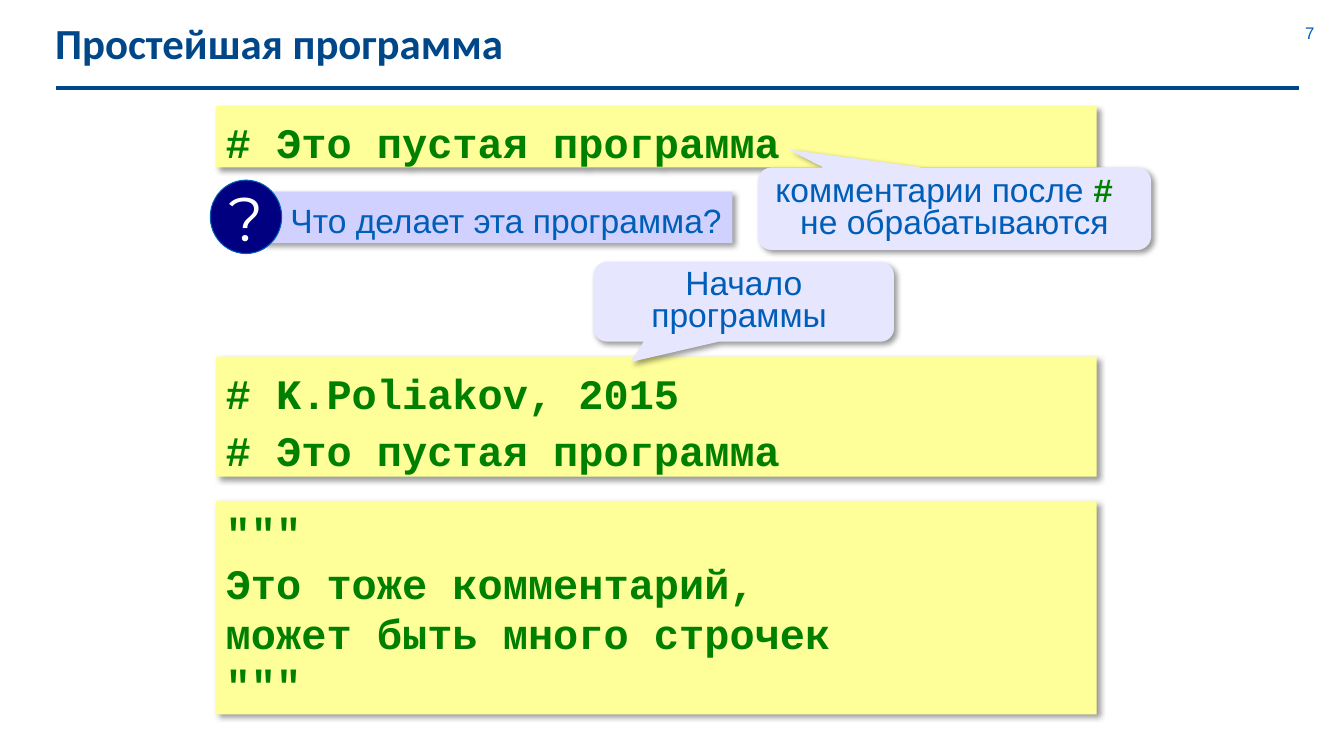
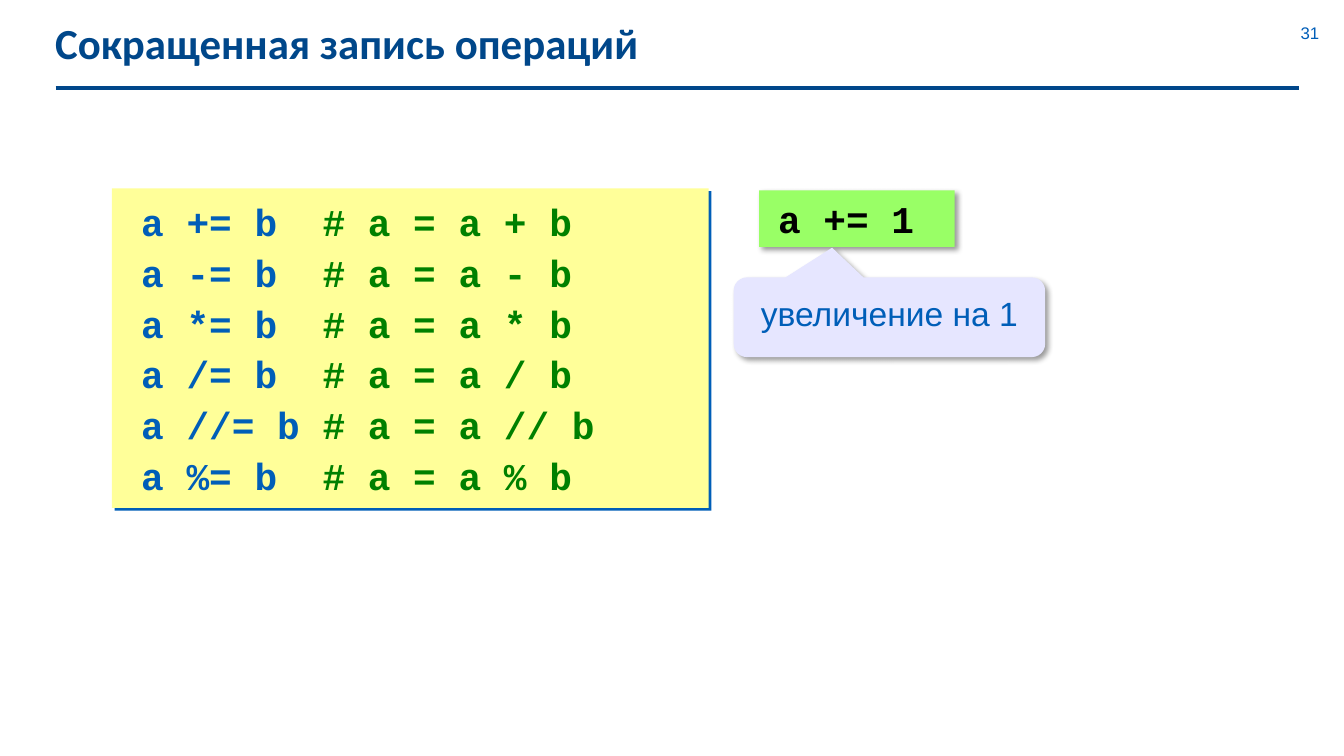
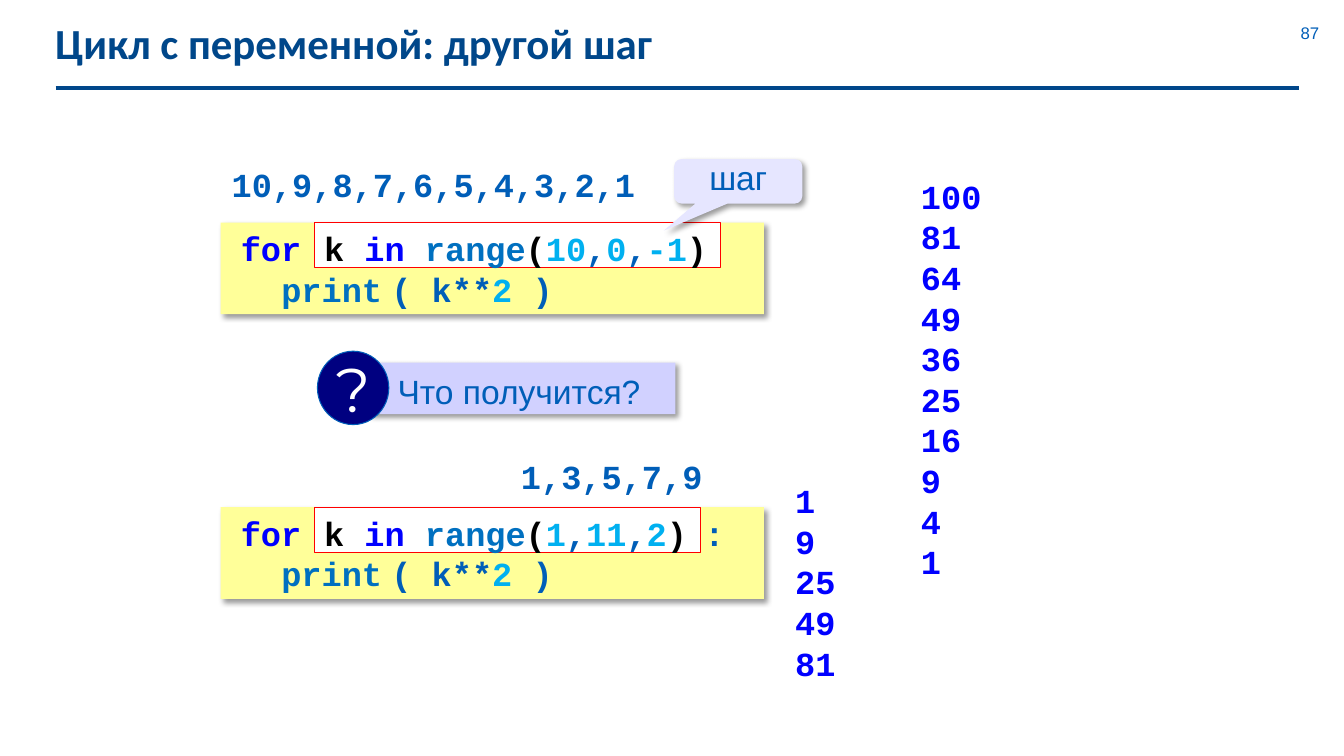
from lxml import etree
from pptx import Presentation
from pptx.dml.color import RGBColor
from pptx.enum.shapes import MSO_CONNECTOR, MSO_SHAPE
from pptx.enum.text import MSO_ANCHOR, PP_ALIGN
from pptx.oxml.ns import qn
from pptx.util import Cm, Pt

RECT, OVAL = MSO_SHAPE.RECTANGLE, MSO_SHAPE.OVAL
CALLOUT = MSO_SHAPE.ROUNDED_RECTANGULAR_CALLOUT
TOP, MIDDLE = MSO_ANCHOR.TOP, MSO_ANCHOR.MIDDLE
LEFT, CENTER = PP_ALIGN.LEFT, PP_ALIGN.CENTER

COLORS = {
    "title": "00478A", "text": "005EB8", "comment": "008000", "keyword": "0000FF",
    "function": "0070C0", "number": "00B0F0", "black": "000000", "white": "FFFFFF",
    "code": "FFFF99", "example": "99FF66", "callout": "E6E6FF", "question": "D1D1FF",
    "circle": "000080", "frame": "FF0000",
}
SANS, MONO, HEADING, ROUND = "Arial", "Courier New", "Calibri", "Montserrat"
TIGHT, LOOSE = 1.21, 1.34  # line pitch of code, in font sizes
SOFT_SHADOW = ("black", 40, 4, 3)
HARD_SHADOW = ("text", 100, 0, 2.8)

# A row is a list of runs: (text, colour) or (text, colour, font).
# Slide 1: top, height, line pitch, lines
COMMENT_BOXES = [
    (2.67, 1.55, LOOSE, ["# Это пустая программа"]),
    (8.99, 3.02, LOOSE, ["# K.Poliakov, 2015", "# Это пустая программа"]),
    (12.62, 5.38, TIGHT,
     ['"""', "Это тоже комментарий,", "может быть много строчек", '"""']),
]
COMMENT_CALLOUTS = [
    ((19.1, 4.22, 9.91, 2.08), (-0.422, -0.716),
     [[("комментарии после ", "text"), ("# ", "comment", MONO)],
      [("не обрабатываются", "text")]]),
    ((14.96, 6.6, 7.57, 2.01), (-0.376, 0.755), [[("Начало программы ", "text")]]),
]

# Slide 2
OPERATORS = ["+", "-", "*", "/", "//", "%"]

# Slide 3: top, frame width, range arguments, text after the frame
LOOPS = [
    (12.78, 9.73, ["1", "11", "2"], ":"),
    (5.61, 10.24, ["10", "0", "-1"], ""),
]
PRINT_ROW = [("print", "function"), (" ", "text", SANS), ("( k**", "text"),
             ("2", "number"), (" )", "text")]
RESULTS = [
    ((22.96, 4.29, 2.5, 10.52), [k ** 2 for k in range(10, 0, -1)]),
    ((19.79, 11.96, 2, 5.38), [k ** 2 for k in range(1, 11, 2)]),
]
SEQUENCES = [
    ((5.59, 3.99, 11.2, 1.3), "10,9,8,7,6,5,4,3,2,1"),
    ((12.88, 11.35, 5.6, 1.3), "1,3,5,7,9"),
]


def rgb(name):
    return RGBColor.from_string(COLORS[name])


def add_runs(p, runs, size, font, bold):
    for text, color, *own_font in runs:
        r = p.add_run()
        r.text = text
        r.font.size = Pt(size)
        r.font.name = own_font[0] if own_font else font
        r.font.bold = bold or r.font.name == MONO
        r.font.color.rgb = rgb(color)


def write(sp, rows, size, font=SANS, bold=False, align=LEFT, anchor=TOP,
          spacing=None, insets=(0.25, 0.13, 0.25, 0.13), wrap=True):
    """Fill a shape with one paragraph per row."""
    tf = sp.text_frame
    tf.word_wrap = wrap
    tf.vertical_anchor = anchor
    tf.margin_left, tf.margin_top, tf.margin_right, tf.margin_bottom = map(Cm, insets)
    for i, runs in enumerate(rows):
        p = tf.add_paragraph() if i else tf.paragraphs[0]
        p.alignment = align
        if spacing:
            p.line_spacing = spacing
        add_runs(p, runs, size, font, bold)
    return tf


def write_code(sp, rows, size, pitch=TIGHT, left=0.25, anchor=TOP):
    return write(sp, rows, size, MONO, True, anchor=anchor,
                 spacing=Pt(round(size * pitch, 1)), insets=(left, 0.13, 0, 0.13))


def set_tab(p, pos):
    tabs = etree.SubElement(p._p.get_or_add_pPr(), qn("a:tabLst"))
    etree.SubElement(tabs, qn("a:tab"), pos=str(Cm(pos)), algn="l")


def add_shadow(sp, color, alpha, blur, dist):
    effects = sp._element.spPr.find(qn("a:effectLst"))
    shadow = etree.SubElement(effects, qn("a:outerShdw"), blurRad=str(Pt(blur)),
                              dist=str(Pt(dist)), dir="2700000", algn="tl",
                              rotWithShape="0")
    clr = etree.SubElement(shadow, qn("a:srgbClr"), val=COLORS[color])
    etree.SubElement(clr, qn("a:alpha"), val=str(alpha * 1000))


def add_shape(s, kind, box, fill, line=None, shadow=None):
    sp = s.shapes.add_shape(kind, *map(Cm, box))
    sp.shadow.inherit = False
    sp.fill.solid()
    sp.fill.fore_color.rgb = rgb(fill)
    if line:
        sp.line.color.rgb = rgb(line)
        sp.line.width = Pt(0.75)
    else:
        sp.line.fill.background()
    if shadow:
        add_shadow(sp, *shadow)
    return sp


def add_text(s, box):
    return s.shapes.add_textbox(*map(Cm, box))


def add_callout(s, box, tip, rows):
    sp = add_shape(s, CALLOUT, box, "callout", shadow=SOFT_SHADOW)
    sp.adjustments[0], sp.adjustments[1] = tip
    write(sp, rows, 24, align=CENTER, anchor=MIDDLE, spacing=0.8)


def add_question(s, left, top, width, text):
    bar = add_shape(s, RECT, (left, top, width, 1.3), "question", shadow=SOFT_SHADOW)
    write(bar, [[(text, "text")]], 24, anchor=MIDDLE, insets=(0.72, 0.13, 0, 0))
    circle = add_shape(s, OVAL, (left - 1.3, top - 0.29, 1.8, 1.85), "circle", "text")
    write(circle, [[("?", "white")]], 44, ROUND, align=CENTER, anchor=MIDDLE, wrap=False)


def new_slide(prs, title, number):
    s = prs.slides.add_slide(prs.slide_layouts[6])
    rule = s.shapes.add_connector(MSO_CONNECTOR.STRAIGHT,
                                  Cm(1.4), Cm(2.21), Cm(32.74), Cm(2.21))
    rule.line.color.rgb = rgb("title")
    rule.line.width = Pt(3)
    etree.SubElement(rule._element.spPr, qn("a:effectLst"))
    write(add_text(s, (1.14, 0.43, 31, 1.32)), [[(title, "title")]], 30.6, HEADING, True,
          insets=(0.25, 0, 0.25, 0.13))
    write(add_text(s, (32.16, 0.56, 1.7, 0.51)), [[(str(number), "text")]], 12,
          align=CENTER, anchor=MIDDLE, insets=(0, 0, 0, 0))
    return s


def build_simple_program(prs):
    s = new_slide(prs, "Простейшая программа", 7)
    for top, height, pitch, lines in COMMENT_BOXES:
        sp = add_shape(s, RECT, (5.44, top, 22.2, height), "code", shadow=SOFT_SHADOW)
        write_code(sp, [[(line, "comment")] for line in lines], 30, pitch)
    add_question(s, 6.6, 4.83, 11.86, "Что делает эта программа?")
    for callout in COMMENT_CALLOUTS:
        add_callout(s, *callout)


def build_short_operators(prs):
    s = new_slide(prs, "Сокращенная запись операций", 31)
    sp = add_shape(s, RECT, (2.82, 4.75, 15.04, 8.05), "code", shadow=HARD_SHADOW)
    rows = [[(f"a {op}= b\t", "text"), (f"# a = a {op} b", "comment")] for op in OPERATORS]
    for p in write_code(sp, rows, 27, LOOSE, left=0.74).paragraphs:
        set_tab(p, 4.57)
    sp = add_shape(s, RECT, (19.13, 4.8, 4.93, 1.42), "example", shadow=SOFT_SHADOW)
    write_code(sp, [[("a += 1", "black")]], 27, left=0.48)
    add_callout(s, (18.49, 6.99, 7.85, 2.01), (-0.184, -0.872),
                [[("увеличение на 1", "text")]])


def add_loop(s, top, frame_width, args, tail):
    """Draw a two-line loop with its header framed in red."""
    sp = add_shape(s, RECT, (5.56, top, 13.69, 2.31), "code", shadow=SOFT_SHADOW)
    head = [("for", "keyword")] + ([("\t" + tail, "text")] if tail else [])
    tf = write_code(sp, [head, PRINT_ROW], 24, left=0.51, anchor=MIDDLE)
    if tail:
        set_tab(tf.paragraphs[0], 11.68)
    tf.paragraphs[1]._p.get_or_add_pPr().set("marL", str(Cm(1.02)))

    runs = [("k ", "black"), ("in ", "keyword"), ("range", "function"), ("(", "black")]
    for i, arg in enumerate(args):
        runs += [(",", "text")] * (i > 0) + [(arg, "number")]
    frame = add_shape(s, RECT, (7.92, top, frame_width, 1.14), "white", "frame")
    write_code(frame, [runs + [(")", "black")]], 24)


def build_loop_step(prs):
    s = new_slide(prs, "Цикл с переменной: другой шаг", 87)
    for box, values in RESULTS:
        write_code(add_text(s, box), [[(str(v), "keyword")] for v in values], 24)
    add_question(s, 9.3, 9.14, 7.72, "Что получится?")
    for loop in LOOPS:
        add_loop(s, *loop)
    add_callout(s, (16.99, 4.01, 3.23, 1.12), (-0.58, 1.108), [[("шаг", "text")]])
    for box, text in SEQUENCES:
        write_code(add_text(s, box), [[(text, "text")]], 24)


def main():
    prs = Presentation()
    prs.slide_width, prs.slide_height = Cm(33.87), Cm(19.05)
    build_simple_program(prs)
    build_short_operators(prs)
    build_loop_step(prs)
    prs.save("out.pptx")


if __name__ == "__main__":
    main()
